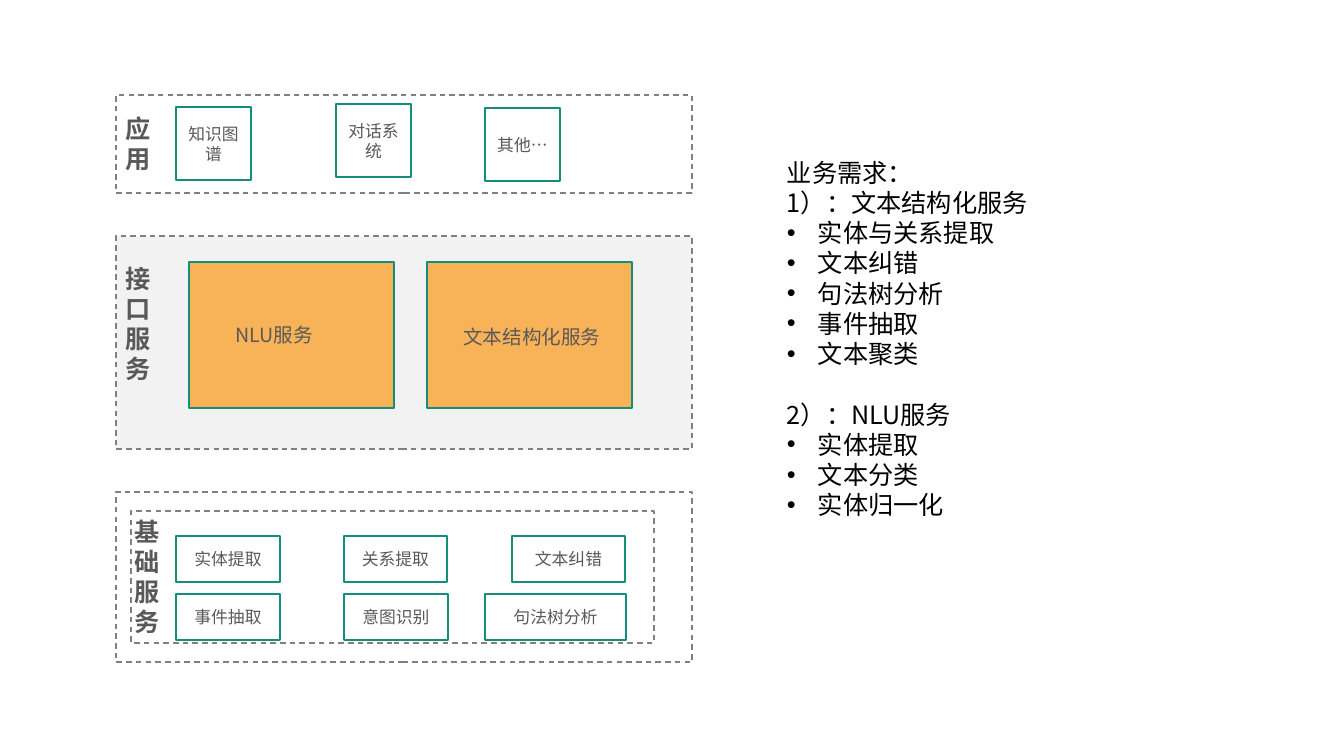
"""Build a slide of the layered service architecture beside its business needs."""
from dataclasses import dataclass

from lxml import etree
from pptx import Presentation
from pptx import util as u
from pptx.dml.color import RGBColor
from pptx.enum import dml, shapes, text
from pptx.oxml import ns

SCALE = 914400 / 100.8


@dataclass(frozen=True)
class Theme:
    """Colours, font and type sizes of the slide."""
    font: str = "Noto Sans CJK SC"
    grey: str = "595959"
    black: str = "000000"
    frame: str = "808080"
    panel: str = "F2F2F2"
    teal: str = "148E7B"
    orange: str = "F8B258"
    small: float = 12
    medium: float = 14
    large: float = 18
    gap: float = 21.6
    indent: int = 31


@dataclass(frozen=True)
class Area:
    """A rectangle in pixels."""
    left: int
    top: int
    width: int
    height: int

    def emu(self) -> list[u.Emu]:
        """Return the four lengths in EMU."""
        return [px(value) for value in (self.left, self.top, self.width, self.height)]


@dataclass(frozen=True)
class Box:
    """A rectangle with optional fill, dashes and centred words."""
    area: Area
    words: str = ""
    fill: str = ""
    line: str = ""
    dashed: bool = False


@dataclass(frozen=True)
class Label:
    """Words in a text box."""
    area: Area
    words: str
    size: float
    bold: bool = False
    centred: bool = False


@dataclass(frozen=True)
class Need:
    """A numbered need and its bulleted items."""
    heading: str
    items: tuple[str, ...]


THEME = Theme()


def px(value: float) -> u.Emu:
    """Turn pixels into EMU."""
    return u.Emu(round(value * SCALE))


def add_run(paragraph, words: str, size: float, colour: str, bold: bool = False) -> None:
    """Add one styled run to a paragraph."""
    run = paragraph.add_run()
    run.text = words
    run.font.size = u.Pt(size)
    run.font.bold = bold
    run.font.color.rgb = RGBColor.from_string(colour)
    run.font.name = THEME.font
    east_asian = etree.SubElement(run._r.get_or_add_rPr(), ns.qn("a:ea"))
    east_asian.set("typeface", THEME.font)


def add_bullet(paragraph) -> None:
    """Give a paragraph a hanging bullet."""
    properties = paragraph._p.get_or_add_pPr()
    properties.set("marL", str(px(THEME.indent)))
    properties.set("indent", str(-px(THEME.indent)))
    etree.SubElement(properties, ns.qn("a:buFont")).set("typeface", "Arial")
    etree.SubElement(properties, ns.qn("a:buChar")).set("char", "•")


def draw_box(slide, box: Box) -> None:
    """Draw a rectangle."""
    shape = slide.shapes.add_shape(shapes.MSO_SHAPE.RECTANGLE, *box.area.emu())
    shape.shadow.inherit = False
    if box.fill:
        shape.fill.solid()
        shape.fill.fore_color.rgb = RGBColor.from_string(box.fill)
    else:
        shape.fill.background()
    shape.line.color.rgb = RGBColor.from_string(box.line or THEME.teal)
    shape.line.width = u.Pt(1)
    if box.dashed:
        shape.line.dash_style = dml.MSO_LINE.DASH
    if box.words:
        frame = shape.text_frame
        frame.word_wrap = True
        frame.vertical_anchor = text.MSO_ANCHOR.MIDDLE
        frame.paragraphs[0].alignment = text.PP_ALIGN.CENTER
        add_run(frame.paragraphs[0], box.words, THEME.small, THEME.grey)


def add_frame(slide, area: Area):
    """Add a wrapping text box and return its text frame."""
    frame = slide.shapes.add_textbox(*area.emu()).text_frame
    frame.word_wrap = True
    return frame


def draw_label(slide, label: Label) -> None:
    """Draw a label."""
    paragraph = add_frame(slide, label.area).paragraphs[0]
    if label.centred:
        paragraph.alignment = text.PP_ALIGN.CENTER
    add_run(paragraph, label.words, label.size, THEME.grey, label.bold)


def draw_needs(slide, area: Area, title: str, needs: tuple[Need, ...]) -> None:
    """Draw the list of business needs."""
    frame = add_frame(slide, area)
    add_run(frame.paragraphs[0], title, THEME.large, THEME.black)
    for index, need in enumerate(needs):
        heading = frame.add_paragraph()
        if index:
            heading.space_before = u.Pt(THEME.gap)
        add_run(heading, need.heading, THEME.large, THEME.black)
        for item in need.items:
            paragraph = frame.add_paragraph()
            add_bullet(paragraph)
            add_run(paragraph, item, THEME.large, THEME.black)


LAYERS = (
    Box(Area(116, 95, 576, 98), line=THEME.frame, dashed=True),
    Box(Area(116, 236, 576, 213), fill=THEME.panel, line=THEME.frame, dashed=True),
    Box(Area(116, 492, 576, 170), line=THEME.frame, dashed=True),
    Box(Area(131, 511, 523, 132), line=THEME.frame, dashed=True),
)
SERVICES = tuple(Box(Area(left, 262, 205, 146), fill=THEME.orange) for left in (189, 427))
APPLICATIONS = tuple(
    Box(Area(left, top, 75, 73), words)
    for left, top, words in ((176, 107, "知识图谱"), (336, 104, "对话系统"), (485, 108, "其他…"))
)
BASE_ROWS = (
    ((176, 104, "实体提取"), (344, 103, "关系提取"), (512, 113, "文本纠错")),
    ((176, 104, "事件抽取"), (344, 104, "意图识别"), (485, 141, "句法树分析")),
)
BASICS = tuple(
    Box(Area(left, 536 + 58 * row, width, 46), words)
    for row, cells in enumerate(BASE_ROWS)
    for left, width, words in cells
)
LABELS = (
    Label(Area(116, 108, 40, 72), "应用", THEME.large, bold=True),
    Label(Area(116, 258, 40, 132), "接口服务", THEME.large, bold=True),
    Label(Area(125, 511, 40, 132), "基础服务", THEME.large, bold=True),
    Label(Area(181, 318, 186, 34), "NLU服务", THEME.medium, centred=True),
    Label(Area(439, 320, 186, 34), "文本结构化服务", THEME.medium, centred=True),
)
NEEDS = (
    Need("1）：文本结构化服务", ("实体与关系提取", "文本纠错", "句法树分析", "事件抽取", "文本聚类")),
    Need("2）：NLU服务", ("实体提取", "文本分类", "实体归一化")),
)

presentation = Presentation()
presentation.slide_width, presentation.slide_height = px(1344), px(756)
slide = presentation.slides.add_slide(presentation.slide_layouts[6])
for box in LAYERS + SERVICES + APPLICATIONS + BASICS:
    draw_box(slide, box)
for label in LABELS:
    draw_label(slide, label)
draw_needs(slide, Area(777, 152, 370, 407), "业务需求：", NEEDS)
presentation.save("out.pptx")
